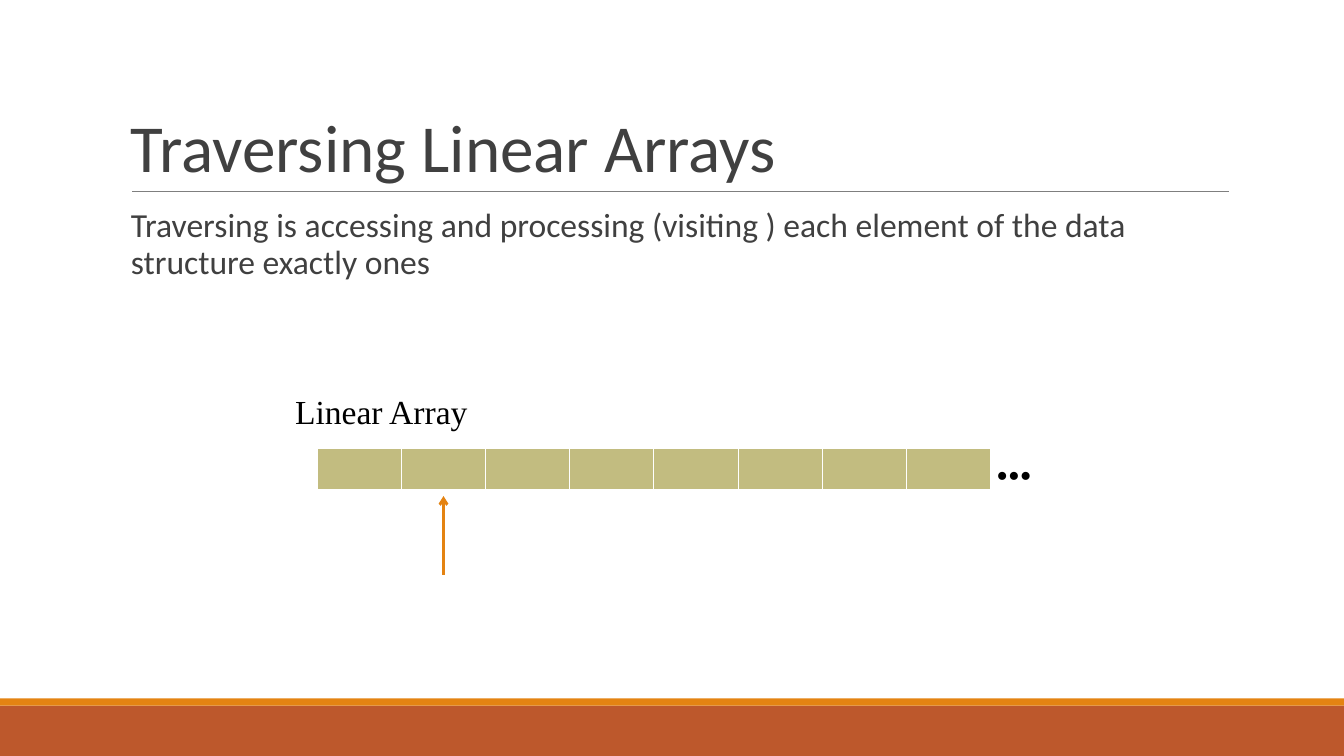
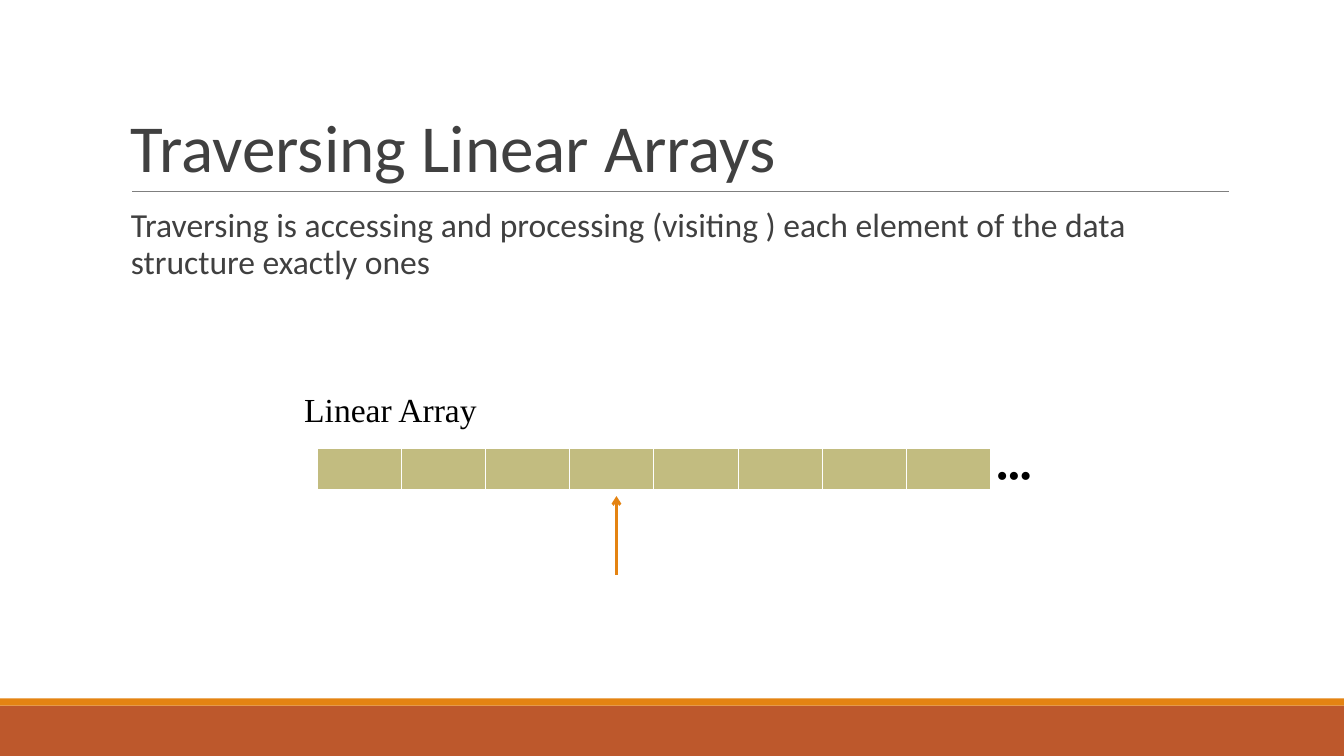
from lxml.etree import SubElement
from pptx import Presentation
from pptx.dml.color import RGBColor
from pptx.enum.shapes import MSO_CONNECTOR as Connector, MSO_SHAPE as Shape
from pptx.enum.text import MSO_ANCHOR as Anchor
from pptx.oxml.ns import qn
from pptx.util import Cm, Pt

COLOURS = {
    "text": "404040",
    "label": "000000",
    "rule": "7F7F7F",
    "accent": "E48312",
    "footer": "BD582C",
    "cell": "C2BC80",
    "cell_border": "FFFFFF",
}
HEADING_FONT, LABEL_FONT = "Calibri", "Times New Roman"
SLIDE_WIDTH, SLIDE_HEIGHT = 33.88, 19.05
CONTENT_LEFT, CONTENT_WIDTH = 3.05, 27.94
ARRAY_LEFT, ARRAY_TOP, CELL_WIDTH, CELL_HEIGHT, CELL_COUNT = 8, 11.3, 2.12, 1.04, 8
BORDERS = {"lnL": 0.45, "lnR": 0.45, "lnT": 0.45, "lnB": 1.47}


def rgb(name):
    return RGBColor.from_string(COLOURS[name])


def write(frame, text, *, size=24, font=LABEL_FONT, colour="label",
          line_spacing=1.0, anchor=Anchor.TOP):
    frame.word_wrap = True
    frame.vertical_anchor = anchor
    frame.margin_left = frame.margin_right = Cm(0.25)
    frame.margin_top = frame.margin_bottom = Cm(0.13)
    paragraph = frame.paragraphs[0]
    paragraph.line_spacing = line_spacing
    run = paragraph.add_run()
    run.text = text
    run.font.size = Pt(size)
    run.font.name = font
    run.font.color.rgb = rgb(colour)


class Deck:
    def __init__(self):
        self.presentation = Presentation()
        self.presentation.slide_width = Cm(SLIDE_WIDTH)
        self.presentation.slide_height = Cm(SLIDE_HEIGHT)
        self.slide = None

    def new_slide(self, title):
        """Start a slide with the shared bands, rule and title."""
        blank = self.presentation.slide_layouts[6]
        self.slide = self.presentation.slides.add_slide(blank)
        self.band(17.78, 1.27, "footer")
        self.band(17.6, 0.18, "accent")
        self.line((3.33, 4.83), (30.99, 4.83), "rule", 0.5)
        self.text(title, CONTENT_LEFT, 0.79, CONTENT_WIDTH, 4.04, size=48,
                  font=HEADING_FONT, colour="text", line_spacing=0.85,
                  anchor=Anchor.BOTTOM)

    def band(self, top, height, colour):
        band = self.slide.shapes.add_shape(
            Shape.RECTANGLE, 0, Cm(top), Cm(SLIDE_WIDTH), Cm(height))
        band.shadow.inherit = False
        band.fill.solid()
        band.fill.fore_color.rgb = rgb(colour)
        band.line.fill.background()

    def line(self, start, end, colour, width, arrow=False):
        line = self.slide.shapes.add_connector(
            Connector.STRAIGHT, *map(Cm, start + end))
        line.line.color.rgb = rgb(colour)
        line.line.width = Pt(width)
        properties = line._element.spPr
        SubElement(properties, qn("a:effectLst"))
        if arrow:
            SubElement(properties.find(qn("a:ln")), qn("a:tailEnd"), type="arrow")

    def text(self, text, left, top, width, height, **style):
        box = self.slide.shapes.add_textbox(*map(Cm, (left, top, width, height)))
        write(box.text_frame, text, **style)

    def body(self, text):
        self.text(text, CONTENT_LEFT, 5.13, CONTENT_WIDTH, 11.18,
                  font=HEADING_FONT, colour="text", line_spacing=0.9)

    def array(self):
        """Draw the row of array cells, followed by dots."""
        table = self.slide.shapes.add_table(
            1, CELL_COUNT, Cm(ARRAY_LEFT), Cm(ARRAY_TOP),
            Cm(CELL_WIDTH * CELL_COUNT), Cm(CELL_HEIGHT)).table
        table.first_row = table.horz_banding = False
        for cell in table.iter_cells():
            properties = cell._tc.get_or_add_tcPr()
            for side, width in BORDERS.items():
                border = SubElement(properties, qn(f"a:{side}"), w=str(Pt(width)))
                fill = SubElement(border, qn("a:solidFill"))
                SubElement(fill, qn("a:srgbClr"), val=COLOURS["cell_border"])
            cell.fill.solid()
            cell.fill.fore_color.rgb = rgb("cell")
        self.text("•••", 24.87, ARRAY_TOP, 4.75, 1.27)

    def pointer(self, x):
        """Draw the arrow that marks the visited element."""
        self.line((x, 14.48), (x, 12.5), "accent", 2, arrow=True)


def main():
    deck = Deck()
    for pointer_x, label_left, label_top in ((11.18, 7.19, 9.73), (15.54, 7.42, 9.68)):
        deck.new_slide("Traversing Linear Arrays")
        deck.body("Traversing is accessing and processing (visiting ) each element "
                  "of the data structure exactly ones")
        deck.array()
        deck.pointer(pointer_x)
        deck.text("Linear Array", label_left, label_top, 5.16, 1.27)
    deck.presentation.save("out.pptx")


if __name__ == "__main__":
    main()
